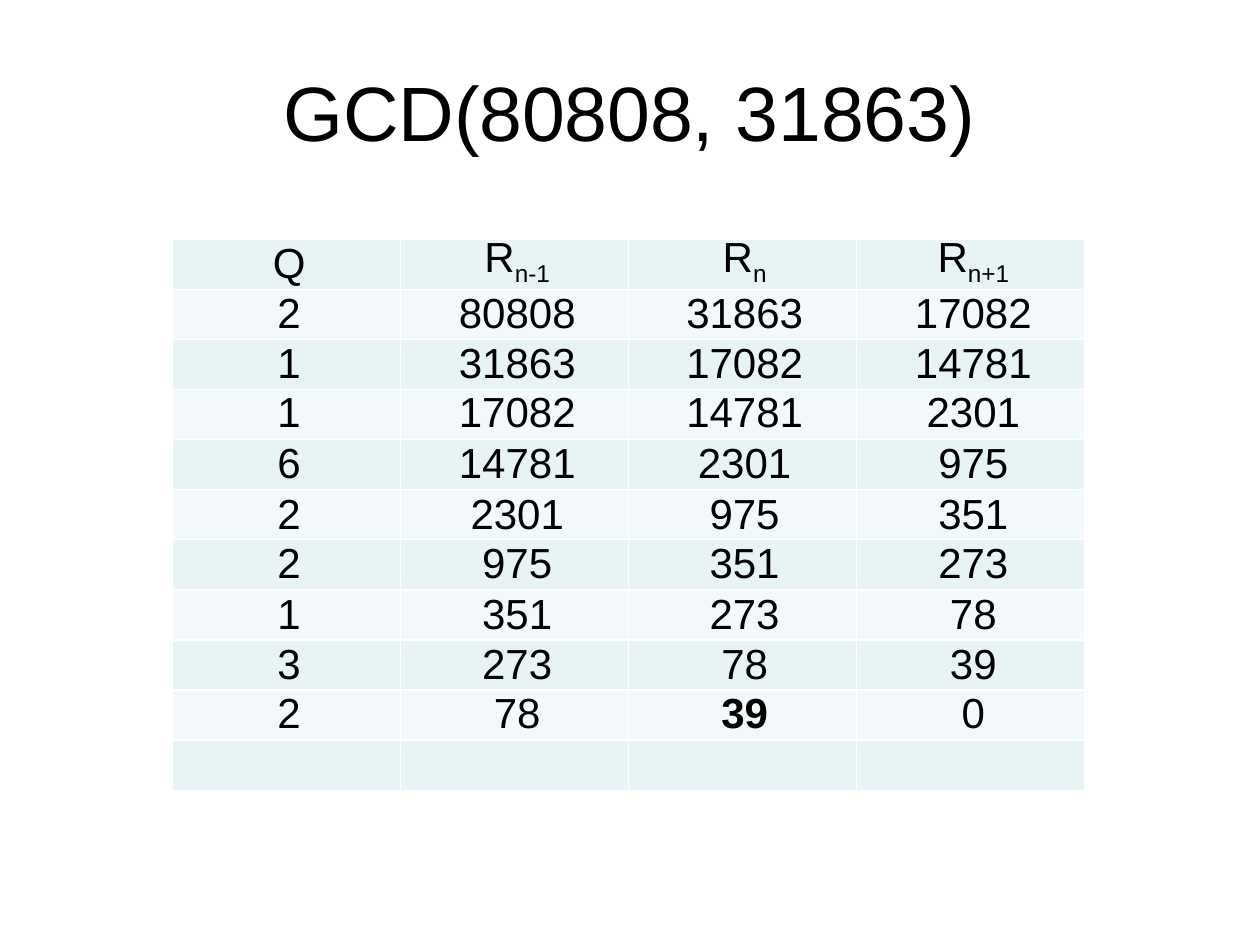
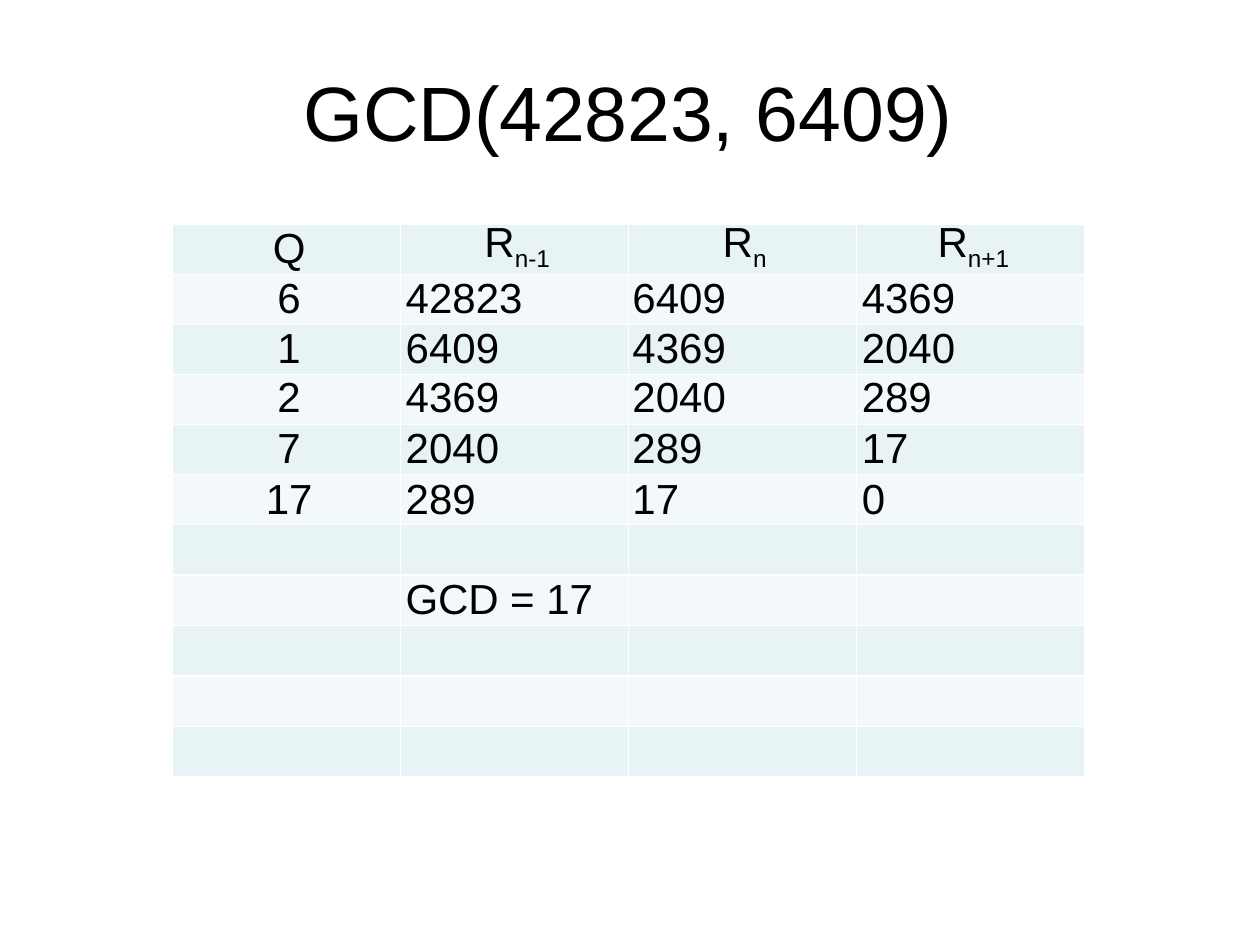
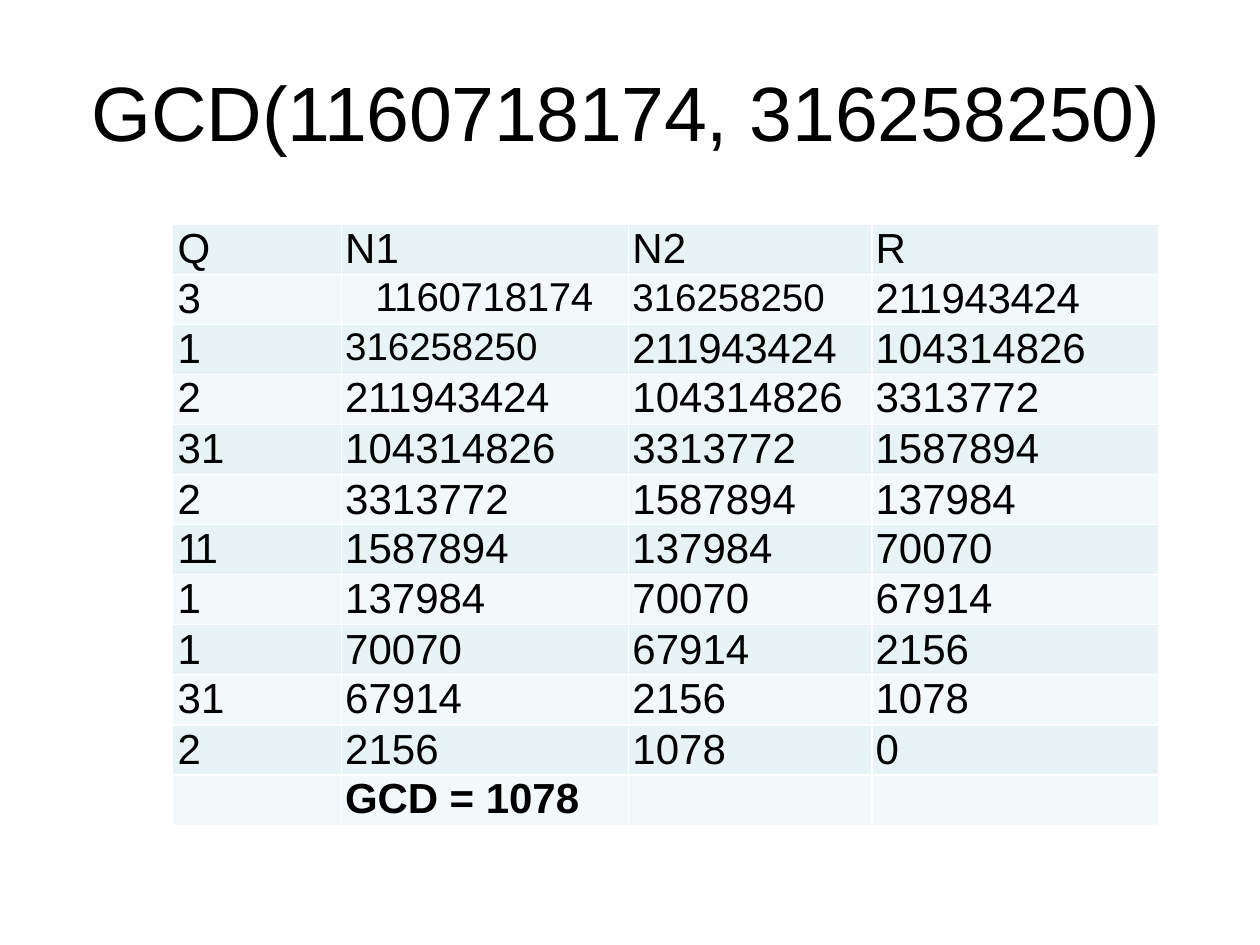
"""Build three slides that work out greatest common divisors in tables."""
from dataclasses import dataclass

from lxml import etree
from pptx import Presentation
from pptx.dml.color import RGBColor
from pptx.enum.text import MSO_AUTO_SIZE, PP_ALIGN
from pptx.oxml.ns import qn
from pptx.util import Inches, Pt

CENTER, LEFT = PP_ALIGN.CENTER, PP_ALIGN.LEFT
GROW = MSO_AUTO_SIZE.SHAPE_TO_FIT_TEXT

HEAD = ["Q", ("R", "_n-1"), ("R", "_n"), ("R", "_n+1")]
EMPTY = [""] * 4
SMALL = {"size": 22, "lead": 25.8}

DECK = [
    {
        "title": ("GCD(80808, ", "31863)"), "box": (2.24, 5.53), "top": 1.9,
        "cols": [1.81] * 4, "indent": [0.04, 0.04, 0.03, 0.04],
        "mid": {"head": 4, "body": 4},
        "odd": {(9, 2): {"bold": True}},
        "rows": [
            HEAD,
            ["2", "80808", "31863", "17082"],
            ["1", "31863", "17082", "14781"],
            ["1", "17082", "14781", "2301"],
            ["6", "14781", "2301", "975"],
            ["2", "2301", "975", "351"],
            ["2", "975", "351", "273"],
            ["1", "351", "273", "78"],
            ["3", "273", "78", "39"],
            ["2", "78", "39", "0"],
            EMPTY,
        ],
    },
    {
        "title": ("GCD(42823, ", "6409)"), "box": (2.4, 5.19), "top": 1.78,
        "cols": [1.81] * 4, "indent": [0.04, 0.04, 0.03, 0.04],
        "mid": {"head": 4, "body": 1},
        "odd": {},
        "rows": [
            HEAD,
            ["6", "42823", "6409", "4369"],
            ["1", "6409", "4369", "2040"],
            ["2", "4369", "2040", "289"],
            ["7", "2040", "289", "17"],
            ["17", "289", "17", "0"],
            EMPTY,
            ["", ("GCD ", "= 17"), "", ""],
            EMPTY,
            EMPTY,
            EMPTY,
        ],
    },
    {
        "title": ("GCD(1160718174, ", "316258250)"), "box": (0.72, 8.55), "top": 1.78,
        "cols": [1.34, 2.28, 1.93, 2.28], "indent": [0.04, 0.03, 0.03, 0.03],
        "mid": {"head": 0, "body": 0},
        "odd": {
            (1, 1): {"size": 23, "lead": 26, "indent": 0.27},
            (1, 2): SMALL,
            (2, 1): {**SMALL, "lead": 25.1},
            (11, 1): {"bold": True},
        },
        "rows": [
            ["Q", "N1", "N2", "R"],
            ["3", "1160718174", "316258250", "211943424"],
            ["1", "316258250", "211943424", "104314826"],
            ["2", "211943424", "104314826", "3313772"],
            ["31", "104314826", "3313772", "1587894"],
            ["2", "3313772", "1587894", "137984"],
            ["11", "1587894", "137984", "70070"],
            ["1", "137984", "70070", "67914"],
            ["1", "70070", "67914", "2156"],
            ["31", "67914", "2156", "1078"],
            ["2", "2156", "1078", "0"],
            ["", ("GCD ", "= 1078"), "", ""],
        ],
    },
]

TRACK = {
    "GCD(80808, ": -0.1, "GCD(42823, ": -0.1, "GCD(1160718174, ": -0.2,
    "GCD ": -0.1, "11": -1.8, "211943424": -0.2, "1160718174": -0.2,
}
LEADS = [27.6, 27.2, 27.6, 26.9, 27.4, 27.6, 27.1, 27.5, 27.6, 27.2, 27.6, 27.1]


@dataclass(frozen=True)
class Theme:
    """Hold the colours, type and measures that all slides share."""
    font: str = "Arial"
    ink: str = "000000"
    rule: str = "FFFFFF"
    bands: tuple = ("E7F3F4", "F3F9FA")
    title: int = 44
    body: int = 24
    sub: int = -25000
    left: float = 1.37
    row: float = 4.37 / 11


LOOK = Theme()


def write(para, parts, size, indent, bold=False):
    """Fill a paragraph with runs; a leading underscore marks a subscript."""
    font = para.font
    font.name, font.size, font.bold = LOOK.font, Pt(size), bold
    font.color.rgb = RGBColor.from_string(LOOK.ink)
    props = para._p.get_or_add_pPr()
    props.set("marL", str(Inches(indent)))
    props.set("indent", "0")
    for part in (parts,) if isinstance(parts, str) else parts:
        if not part:
            continue
        run = para.add_run()
        run.text = part.lstrip("_")
        if part.startswith("_"):
            run._r.get_or_add_rPr().set("baseline", str(LOOK.sub))
        if part in TRACK:
            run._r.get_or_add_rPr().set("spc", str(round(TRACK[part] * 100)))


def add_title(slide, item):
    """Add the slide title."""
    left, width = item["box"]
    frame = slide.shapes.add_textbox(
        Inches(left), Inches(0.5), Inches(width), Inches(0.76)).text_frame
    frame.word_wrap, frame.auto_size = True, GROW
    frame.margin_left = frame.margin_right = frame.margin_bottom = 0
    frame.margin_top = Inches(0.01)
    para = frame.paragraphs[0]
    para.space_before = Pt(1)
    write(para, item["title"], LOOK.title, 0.01)


def style_cell(cell, band):
    """Give a cell its margins, white rules and band fill."""
    cell.margin_left = cell.margin_right = cell.margin_top = cell.margin_bottom = 0
    props = cell._tc.get_or_add_tcPr()
    for side in ("lnL", "lnR", "lnT", "lnB"):
        line = etree.SubElement(props, qn(f"a:{side}"), w=str(Pt(1)))
        fill = etree.SubElement(line, qn("a:solidFill"))
        etree.SubElement(fill, qn("a:srgbClr"), val=LOOK.rule)
    cell.fill.solid()
    cell.fill.fore_color.rgb = RGBColor.from_string(band)


def add_grid(slide, item):
    """Add the table of division steps."""
    rows, cols = item["rows"], item["cols"]
    table = slide.shapes.add_table(
        len(rows), len(cols), Inches(LOOK.left), Inches(item["top"]),
        Inches(sum(cols)), Inches(LOOK.row * len(rows))).table
    table.first_row = table.horz_banding = False
    for col, width in zip(table.columns, cols):
        col.width = Inches(width)
    for r, row in enumerate(rows):
        table.rows[r].height = Inches(LOOK.row)
        mid = item["mid"]["body" if r else "head"]
        for c, parts in enumerate(row):
            cell = table.cell(r, c)
            style_cell(cell, LOOK.bands[r % 2])
            odd = item["odd"].get((r, c), {})
            para = cell.text_frame.paragraphs[0]
            para.alignment = CENTER if c < mid else LEFT
            para.line_spacing = Pt(odd.get("lead", LEADS[r]))
            write(para, parts, odd.get("size", LOOK.body),
                  odd.get("indent", item["indent"][c]), odd.get("bold", False))


def main():
    """Build and save the deck."""
    deck = Presentation()
    deck.slide_width, deck.slide_height = Inches(10), Inches(7.5)
    for item in DECK:
        slide = deck.slides.add_slide(deck.slide_layouts[6])
        add_title(slide, item)
        add_grid(slide, item)
    deck.save("out.pptx")


main()
